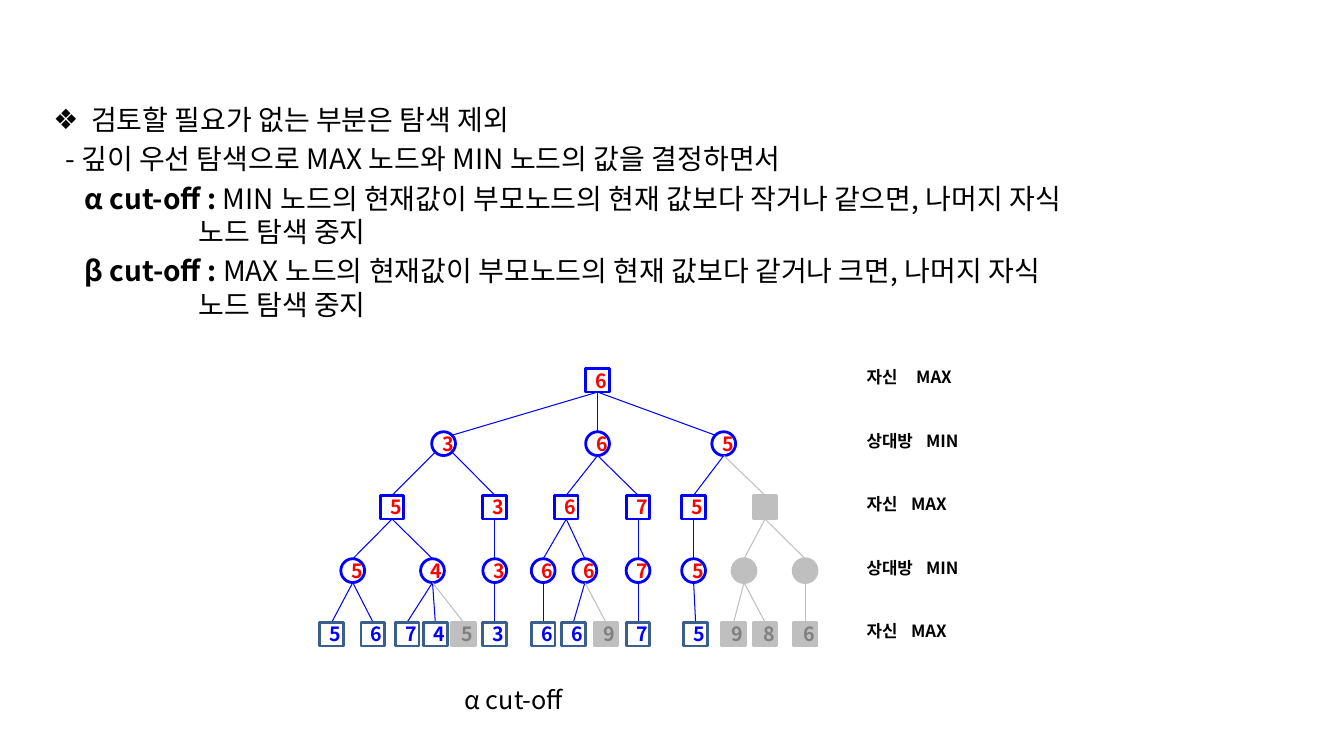
from dataclasses import dataclass

from lxml.etree import SubElement
from pptx import Presentation
from pptx.dml.color import RGBColor
from pptx.enum.shapes import MSO_CONNECTOR as CONNECTOR, MSO_SHAPE as SHAPE
from pptx.enum.text import MSO_ANCHOR as ANCHOR, MSO_AUTO_SIZE as AUTO_SIZE, PP_ALIGN as ALIGN
from pptx.oxml.ns import qn
from pptx.util import Cm, Pt


@dataclass(frozen=True)
class Theme:
    font: str = "Noto Sans CJK KR"
    text: str = "000000"
    searched: str = "0000FF"
    decided: str = "FF0000"
    leaf_edge: str = "3A5F8C"
    pruned: str = "BFBFBF"
    pruned_value: str = "808080"
    body_size: int = 20
    caption_size: int = 18
    value_size: int = 14
    label_size: int = 12
    node_line: float = 2
    branch_line: float = 0.75


@dataclass(frozen=True)
class Node:
    """A tree node; leaving and entering (-1, 0, 1) pick the branch's side of each circle."""
    x: float
    value: str
    children: tuple = ()
    pruned: bool = False
    leaving: int = 0
    entering: int = 0


THEME = Theme()
NODE_SIZE = 0.6
RADIUS = NODE_SIZE / 2
ROOT_Y = 9.58
LEVEL_STEP = 1.6
DIAGONAL = 0.71

TREE = Node(15.06, "6", (
    Node(11.18, "3", (
        Node(9.88, "5", (
            Node(8.89, "5", (Node(8.36, "5"), Node(9.4, "6"))),
            Node(10.9, "4", (Node(10.26, "7"), Node(10.97, "4"), Node(11.68, "5", pruned=True))),
        ), leaving=-1),
        Node(12.47, "3", (Node(12.47, "3", (Node(12.47, "3"),)),), leaving=1),
    ), entering=1),
    Node(15.06, "6", (
        Node(14.27, "6", (
            Node(13.69, "6", (Node(13.69, "6"),)),
            Node(14.74, "6", (Node(14.45, "6"), Node(15.27, "9", pruned=True))),
        )),
        Node(16.08, "7", (Node(16.08, "7", (Node(16.08, "7"),)),)),
    )),
    Node(18.24, "5", (
        Node(17.48, "5", (Node(17.48, "5", (Node(17.53, "5"),)),)),
        Node(19.28, "", (
            Node(18.75, "", (Node(18.49, "9", pruned=True), Node(19.28, "8", pruned=True)), pruned=True),
            Node(20.29, "", (Node(20.29, "6", pruned=True),), pruned=True),
        ), pruned=True),
    ), entering=-1),
))

# Player, role and the distance from the label's start to the role
LEVEL_LABELS = [
    ("자신", "MAX", 1.25),
    ("상대방", "MIN", 1.5),
    ("자신", "MAX", 1.12),
    ("상대방", "MIN", 1.5),
    ("자신", "MAX", 1.12),
]

# Left margin, first-line indent, bullet, bold lead, text
RULES = [
    (0.95, -0.95, "❖", "", "검토할 필요가 없는 부분은 탐색 제외"),
    (0.3, 0, "", "", "- 깊이 우선 탐색으로 MAX 노드와 MIN 노드의 값을 결정하면서"),
    (3.66, -2.87, "", "α cut-off : ",
     "MIN 노드의 현재값이 부모노드의 현재 값보다 작거나 같으면, 나머지 자식\v노드 탐색 중지"),
    (3.66, -2.87, "", "β cut-off : ",
     "MAX 노드의 현재값이 부모노드의 현재 값보다 같거나 크면, 나머지 자식\v노드 탐색 중지"),
]


def set_format(target, values):
    for name, value in values.items():
        setattr(target, name, value)


def add_text(paragraph, text, size, color=THEME.text, bold=False):
    for index, line in enumerate(text.split("\v")):
        if index:
            paragraph.add_line_break()
        run = paragraph.add_run()
        run.text = line
        set_format(run.font, {"name": THEME.font, "size": Pt(size), "bold": bold})
        run.font.color.rgb = RGBColor.from_string(color)
        run.font._element.set("kern", "0")
        SubElement(run.font._element, qn("a:ea"), typeface=THEME.font)


def fill_rules(body):
    set_format(body, {"left": Cm(1.09), "top": Cm(2.46), "width": Cm(29.57), "height": Cm(5.99)})
    frame = body.text_frame
    set_format(frame, {"auto_size": AUTO_SIZE.NONE, "vertical_anchor": ANCHOR.TOP, "word_wrap": True})
    for index, (margin, indent, bullet, lead, text) in enumerate(RULES):
        paragraph = frame.add_paragraph() if index else frame.paragraphs[0]
        set_format(paragraph, {"line_spacing": 1.0, "space_before": Pt(4), "alignment": ALIGN.LEFT})
        properties = paragraph._p.get_or_add_pPr()
        properties.set("marL", str(Cm(margin)))
        properties.set("indent", str(Cm(indent)))
        if bullet:
            SubElement(properties, qn("a:buChar"), char=bullet)
        else:
            SubElement(properties, qn("a:buNone"))
        if lead:
            add_text(paragraph, lead, THEME.body_size, bold=True)
        add_text(paragraph, text, THEME.body_size)


def add_label(slide, left, top, width, height, text, size, bold=False, tab=None):
    frame = slide.shapes.add_textbox(Cm(left), Cm(top), Cm(width), Cm(height)).text_frame
    frame.word_wrap = True
    paragraph = frame.paragraphs[0]
    if tab:
        stops = SubElement(paragraph._p.get_or_add_pPr(), qn("a:tabLst"))
        SubElement(stops, qn("a:tab"), pos=str(Cm(tab)), algn="l")
    add_text(paragraph, text, size, bold=bold)


def branch_end(x, y, side, vertical):
    """Point on a node's rim: above (-1) or below (1), straight or on a diagonal."""
    reach = RADIUS * (DIAGONAL if side else 1)
    return Cm(x + side * RADIUS * DIAGONAL), Cm(y + vertical * reach)


def add_branch(slide, parent, child, parent_y):
    start = branch_end(parent.x, parent_y, child.leaving, 1)
    end = branch_end(child.x, parent_y + LEVEL_STEP, child.entering, -1)
    branch = slide.shapes.add_connector(CONNECTOR.STRAIGHT, *start, *end)
    branch.line.width = Pt(THEME.branch_line)
    branch.line.color.rgb = RGBColor.from_string(THEME.pruned if child.pruned else THEME.searched)
    SubElement(branch._element.spPr, qn("a:effectLst"))


def node_colors(node):
    """Outline and value colours."""
    if node.pruned:
        return THEME.pruned, THEME.pruned_value
    if node.children:
        return THEME.searched, THEME.decided
    return THEME.leaf_edge, THEME.searched


def add_node(slide, node, level, y):
    outline, value_color = node_colors(node)
    kind = SHAPE.OVAL if level % 2 else SHAPE.RECTANGLE
    mark = slide.shapes.add_shape(kind, Cm(node.x - RADIUS), Cm(y - RADIUS), Cm(NODE_SIZE), Cm(NODE_SIZE))
    mark.shadow.inherit = False
    mark.line.width = Pt(THEME.node_line)
    mark.line.color.rgb = RGBColor.from_string(outline)
    if node.pruned:
        mark.fill.solid()
        mark.fill.fore_color.rgb = RGBColor.from_string(THEME.pruned)
    else:
        mark.fill.background()
    if node.value:
        set_format(mark.text_frame, {"vertical_anchor": ANCHOR.MIDDLE, "word_wrap": True})
        paragraph = mark.text_frame.paragraphs[0]
        paragraph.alignment = ALIGN.CENTER
        add_text(paragraph, node.value, THEME.value_size, value_color, bold=True)


def add_tree(slide, node, level=0):
    y = ROOT_Y + level * LEVEL_STEP
    add_node(slide, node, level, y)
    for child in node.children:
        add_branch(slide, node, child, y)
        add_tree(slide, child, level + 1)


def main():
    deck = Presentation()
    set_format(deck, {"slide_width": Cm(33.87), "slide_height": Cm(19.05)})
    slide = deck.slides.add_slide(deck.slide_layouts[1])
    heading = slide.shapes.title._element
    heading.getparent().remove(heading)

    fill_rules(slide.placeholders[1])
    for level, (player, role, tab) in enumerate(LEVEL_LABELS):
        add_label(slide, 21.59, 9.12 + level * LEVEL_STEP, 3, 0.76,
                  f"{player}\t{role}", THEME.label_size, bold=True, tab=tab)
    add_tree(slide, TREE)
    add_label(slide, 11.46, 17.12, 7.26, 1.02, "α cut-off", THEME.caption_size)
    deck.save("out.pptx")


if __name__ == "__main__":
    main()
